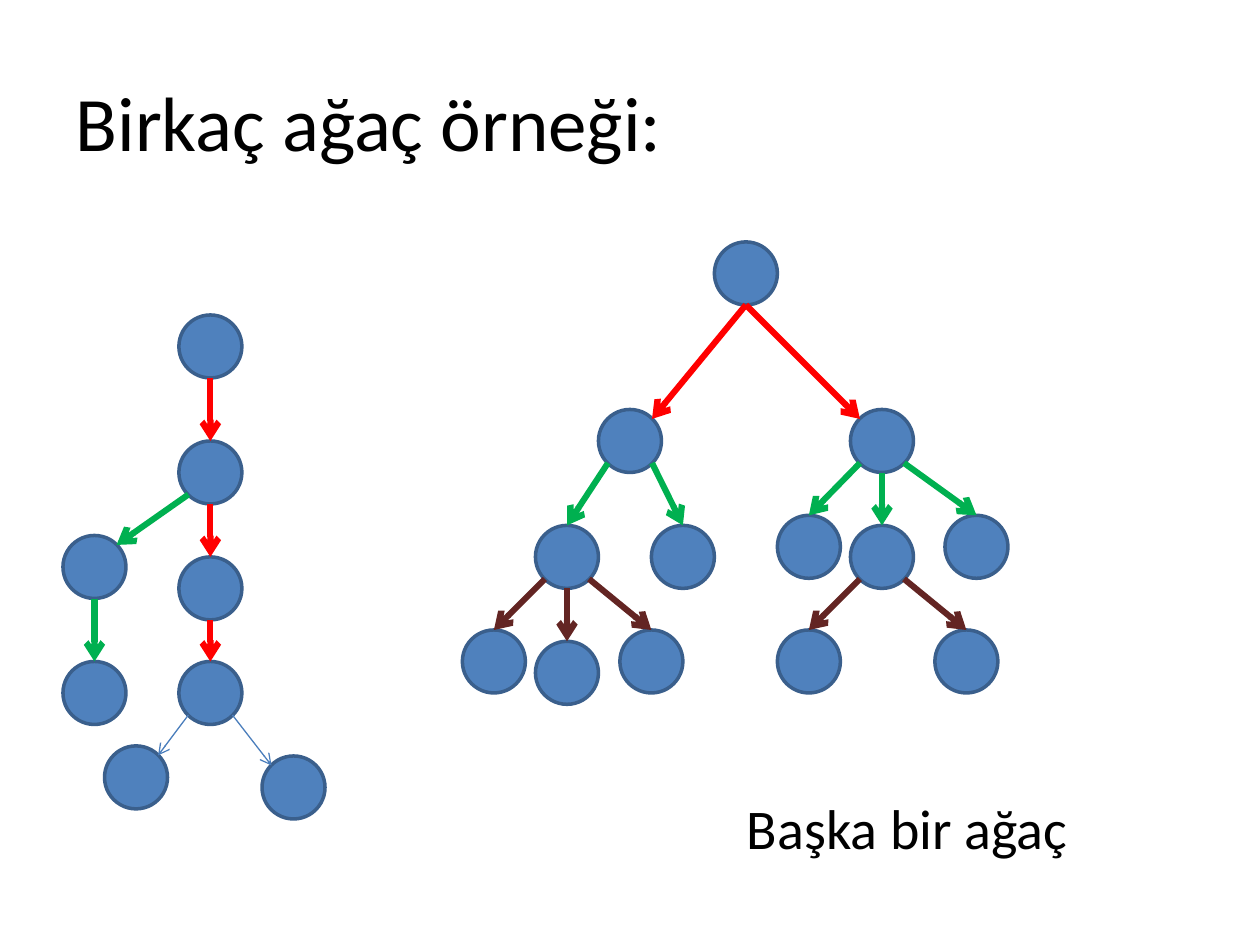
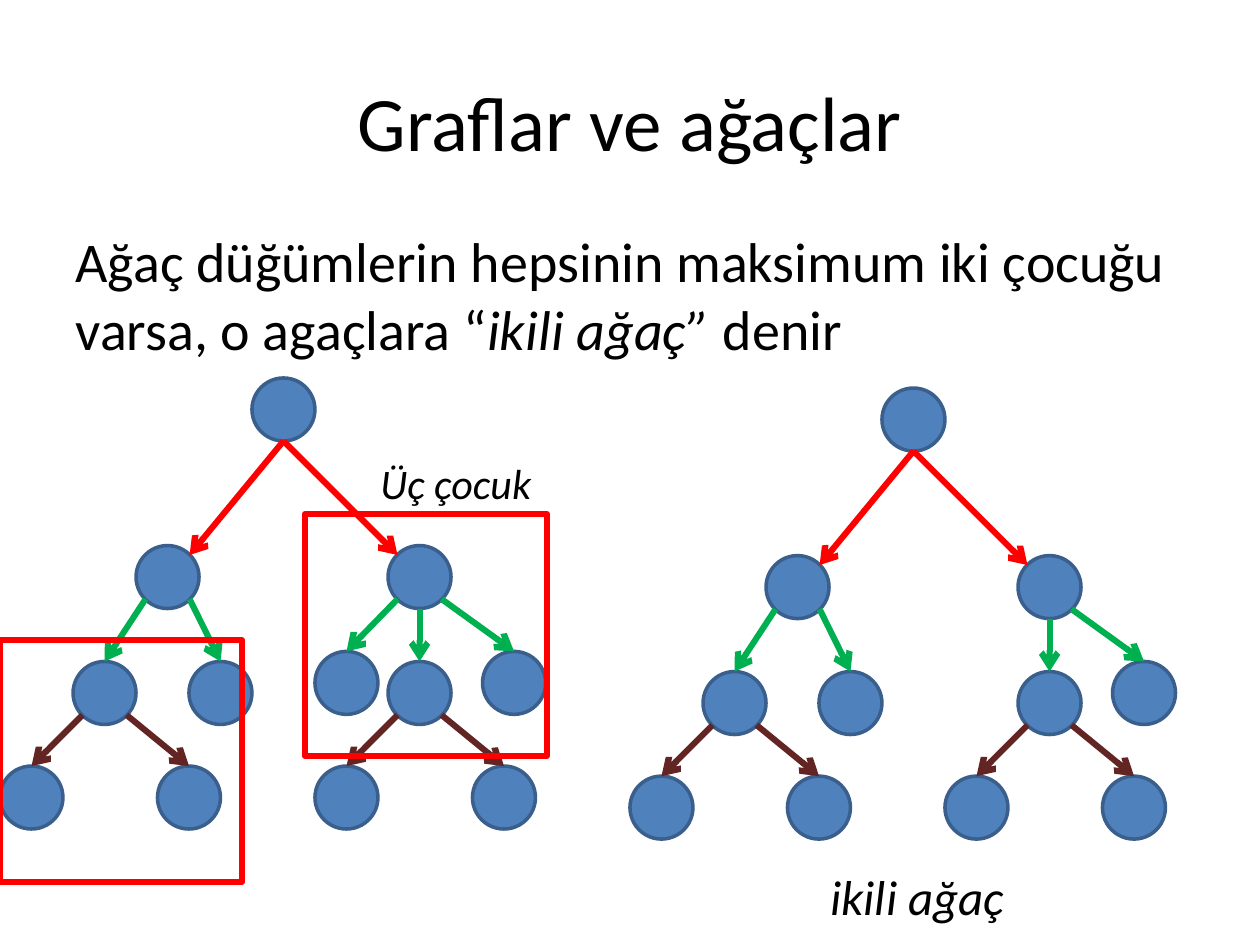
from dataclasses import dataclass

from lxml import etree
from pptx import Presentation
from pptx.dml.color import RGBColor
from pptx.enum.shapes import MSO_CONNECTOR, MSO_SHAPE
from pptx.enum.text import MSO_ANCHOR, MSO_AUTO_SIZE, PP_ALIGN
from pptx.oxml.ns import qn
from pptx.util import Inches, Pt


@dataclass(frozen=True)
class Theme:
    font: str = "Calibri"
    text: RGBColor = RGBColor(0, 0, 0)
    node_fill: RGBColor = RGBColor(0x4F, 0x81, 0xBD)
    node_line: RGBColor = RGBColor(0x3A, 0x5F, 0x8C)
    red: RGBColor = RGBColor(0xFF, 0, 0)
    green: RGBColor = RGBColor(0, 0xB0, 0x50)
    brown: RGBColor = RGBColor(0x63, 0x25, 0x23)
    blue: RGBColor = RGBColor(0x4B, 0x7E, 0xBC)
    title_size: int = 44
    body_size: int = 32
    caption_size: int = 28
    note_size: int = 24
    node_width: float = 2
    thin: float = 0.75
    thick: float = 3.5


theme = Theme()
NODE_SIZE = 0.5

# Points on a node's rim, as fractions of its size (0.15 and 0.85 lie on the diagonals)
SITES = {"N": (0.5, 0), "NE": (0.85, 0.15), "NW": (0.15, 0.15),
         "S": (0.5, 1), "SE": (0.85, 0.85), "SW": (0.15, 0.85)}

# node: (x, y) from the root, parent, site on the parent, site on the node, arrow colour
SLIM_TREE = {
    "root": (0, 0, None, None, None, None),
    "trunk 1": (0, 1, "root", "S", "N", theme.red),
    "trunk 2": (0, 1.92, "trunk 1", "S", "N", theme.red),
    "trunk 3": (0, 2.75, "trunk 2", "S", "N", theme.red),
    "branch": (-0.92, 1.75, "trunk 1", "SW", "NE", theme.green),
    "branch end": (-0.92, 2.75, "branch", "S", "N", theme.green),
    "left leaf": (-0.59, 3.42, "trunk 3", "SW", "NE", theme.blue),
    "right leaf": (0.66, 3.5, "trunk 3", "SE", "NW", theme.blue),
}
WIDE_TREE = {
    "root": (0, 0, None, None, None, None),
    "left": (-0.92, 1.33, "root", "S", "NE", theme.red),
    "right": (1.08, 1.33, "root", "S", "NW", theme.red),
    "left 1": (-1.42, 2.25, "left", "SW", "N", theme.green),
    "left 2": (-0.5, 2.25, "left", "SE", "N", theme.green),
    "right 1": (0.5, 2.17, "right", "SW", "N", theme.green),
    "right 2": (1.08, 2.25, "right", "S", "N", theme.green),
    "right 3": (1.83, 2.17, "right", "SE", "N", theme.green),
    "left leaf 1": (-2, 3.08, "left 1", "SW", "N", theme.brown),
    "left leaf 2": (-1.42, 3.17, "left 1", "S", "N", theme.brown),
    "left leaf 3": (-0.75, 3.08, "left 1", "SE", "N", theme.brown),
    "right leaf 1": (0.5, 3.08, "right 2", "SW", "N", theme.brown),
    "right leaf 2": (1.75, 3.08, "right 2", "SE", "N", theme.brown),
}


def draw_tree(slide, tree, left, top, without=()):
    """Draw the nodes, then the arrows, with the root's corner at left, top."""
    nodes = {name: node for name, node in tree.items() if name not in without}
    for x, y, *_ in nodes.values():
        shape = slide.shapes.add_shape(
            MSO_SHAPE.FLOWCHART_CONNECTOR, Inches(left + x), Inches(top + y),
            Inches(NODE_SIZE), Inches(NODE_SIZE))
        shape.shadow.inherit = False
        shape.fill.solid()
        shape.fill.fore_color.rgb = theme.node_fill
        shape.line.color.rgb = theme.node_line
        shape.line.width = Pt(theme.node_width)
    for x, y, parent, start, end, color in nodes.values():
        if parent is None:
            continue
        parent_x, parent_y = nodes[parent][:2]
        ends = []
        for node_x, node_y, site in ((parent_x, parent_y, start), (x, y, end)):
            across, down = SITES[site]
            ends += [Inches(left + node_x + across * NODE_SIZE),
                     Inches(top + node_y + down * NODE_SIZE)]
        arrow = slide.shapes.add_connector(MSO_CONNECTOR.STRAIGHT, *ends)
        arrow.line.color.rgb = color
        arrow.line.width = Pt(theme.thin if color == theme.blue else theme.thick)
        etree.SubElement(arrow.line._get_or_add_ln(), qn("a:tailEnd"), type="arrow")
        etree.SubElement(arrow._element.spPr, qn("a:effectLst"))


def style_runs(paragraph, size, italic=False):
    for run in paragraph.runs:
        run.font.name = theme.font
        run.font.size = Pt(size)
        run.font.color.rgb = theme.text
        run.font.italic = italic


presentation = Presentation()
presentation.slide_width, presentation.slide_height = Inches(10), Inches(7.5)
content_layout, title_layout = presentation.slide_layouts[1], presentation.slide_layouts[5]
examples = presentation.slides.add_slide(title_layout)
binary = presentation.slides.add_slide(content_layout)

# Titles
for slide, text, alignment in (
    (examples, "Birkaç ağaç örneği:", PP_ALIGN.LEFT),
    (binary, "Graflar ve ağaçlar", PP_ALIGN.CENTER),
):
    title = slide.shapes.title
    title.left, title.top = Inches(0.5), Inches(0.33)
    title.width, title.height = Inches(9), Inches(1.25)
    title.text_frame.text = text
    title.text_frame.vertical_anchor = MSO_ANCHOR.MIDDLE
    paragraph = title.text_frame.paragraphs[0]
    paragraph.alignment = alignment
    style_runs(paragraph, theme.title_size)

# Definition of a binary tree
body = binary.placeholders[1]
body.left, body.top = Inches(0.5), Inches(1.75)
body.width, body.height = Inches(9), Inches(4.95)
definition = body.text_frame.paragraphs[0]
properties = definition._p.get_or_add_pPr()
properties.set("marL", "0")
properties.set("indent", "0")
etree.SubElement(properties, qn("a:buNone"))
definition.space_before = Pt(0)
for text in ("Ağaç düğümlerin hepsinin maksimum iki çocuğu varsa, o agaçlara “",
             "ikili ağaç” ", "denir"):
    definition.add_run().text = text
style_runs(definition, theme.body_size)
definition.runs[1].font.italic = True

# Trees
draw_tree(examples, SLIM_TREE, 1.42, 2.5)
draw_tree(examples, WIDE_TREE, 5.67, 1.92)
draw_tree(binary, WIDE_TREE, 2, 3, without=("left leaf 2",))
draw_tree(binary, WIDE_TREE, 7, 3.08, without=("left leaf 2", "right 1"))

# Frames around the compared subtrees
for left, top in ((0, 5.08), (2.42, 4.08)):
    frame = binary.shapes.add_shape(
        MSO_SHAPE.RECTANGLE, Inches(left), Inches(top), Inches(1.92), Inches(1.92))
    frame.shadow.inherit = False
    frame.fill.background()
    frame.line.color.rgb = theme.red
    frame.line.width = Pt(theme.thick)

# Labels
for slide, text, left, top, width, height, size, italic, wrap in (
    (examples, "Başka bir ağaç", 5.83, 6.25, 3, 0.64, theme.body_size, False, True),
    (binary, "ikili ağaç", 6.49, 6.83, 1.6, 0.57, theme.caption_size, True, False),
    (binary, "Üç çocuk", 2.92, 3.58, 1.41, 0.5, theme.note_size, True, False),
):
    label = slide.shapes.add_textbox(Inches(left), Inches(top), Inches(width), Inches(height))
    label.text_frame.text = text
    label.text_frame.word_wrap = wrap
    label.text_frame.auto_size = MSO_AUTO_SIZE.SHAPE_TO_FIT_TEXT
    style_runs(label.text_frame.paragraphs[0], size, italic)

presentation.save("out.pptx")
